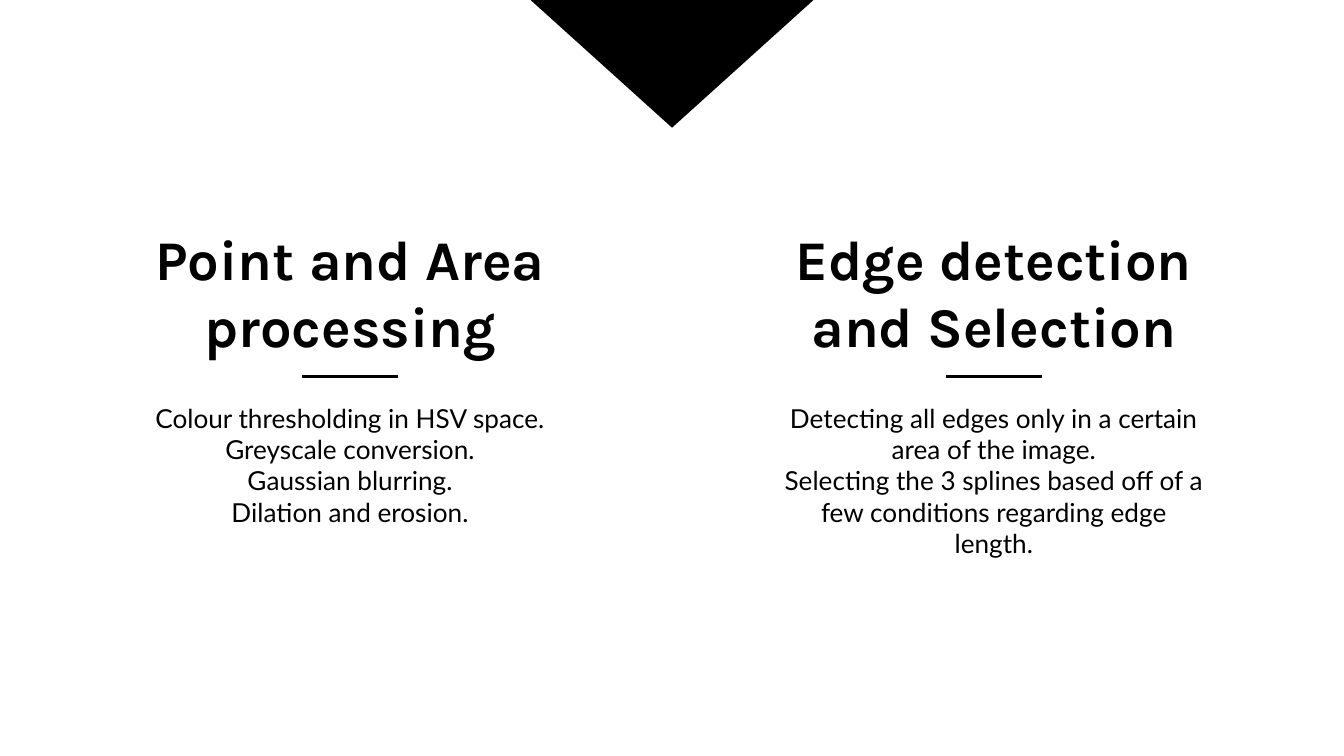
from dataclasses import dataclass

from lxml import etree
from pptx import Presentation
from pptx.dml.color import RGBColor
from pptx.enum import shapes, text
from pptx.oxml import ns
from pptx.util import Inches, Pt

BLACK = "000000"
WHITE = "FFFFFF"
WIDE = 10
HIGH = WIDE * 9 / 16
MID = WIDE / 2
GAP = 4.79  # between the column centres


@dataclass
class Topic:
    mid: float  # centre of the column
    head: str
    lines: list[str]


TOPICS = [
    Topic(MID - GAP / 2, "Point and Area processing", [
        "Colour thresholding in HSV space.",
        "Greyscale conversion.",
        "Gaussian blurring.",
        "Dilation and erosion.",
    ]),
    Topic(MID + GAP / 2, "Edge detection and Selection", [
        "Detecting all edges only in a certain area of the image.",
        "Selecting the 3 splines based off of a few conditions "
        "regarding edge length.",
    ]),
]


def paint(color, code: str) -> None:
    color.rgb = RGBColor.from_string(code)


def place(shape, mid: float, top: float, width: float, height: float) -> None:
    shape.left, shape.top = Inches(mid - width / 2), Inches(top)
    shape.width, shape.height = Inches(width), Inches(height)


def write(shape, lines: list[str], face: str, size: int,
          bold: bool, anchor) -> None:
    frame = shape.text_frame
    frame.word_wrap = True
    frame.auto_size = text.MSO_AUTO_SIZE.NONE
    frame.vertical_anchor = anchor
    frame.margin_left = frame.margin_right = Inches(0.1)
    frame.margin_top = frame.margin_bottom = Inches(0.1)
    for i, line in enumerate(lines):
        para = frame.add_paragraph() if i else frame.paragraphs[0]
        para.alignment = text.PP_ALIGN.CENTER
        para.line_spacing = 1.0
        run = para.add_run()
        run.text = line
        run.font.name, run.font.size, run.font.bold = face, Pt(size), bold
        paint(run.font.color, BLACK)


def add_rule(slide, mid: float, y: float, width: float) -> None:
    rule = slide.shapes.add_connector(
        shapes.MSO_CONNECTOR.STRAIGHT,
        Inches(mid - width / 2), Inches(y), Inches(mid + width / 2), Inches(y))
    rule.line.width = Pt(1.5)
    paint(rule.line.color, BLACK)
    etree.SubElement(rule._element.spPr, ns.qn("a:effectLst"))


def add_topic(slide, topic: Topic, head) -> None:
    place(head, topic.mid, 2, 3.74, 0.34)
    write(head, [topic.head], "Karla", 30, True, text.MSO_ANCHOR.MIDDLE)
    body = slide.shapes.add_textbox(0, 0, 0, 0)
    place(body, topic.mid, 2.89, 3.39, 1.08)
    write(body, topic.lines, "Lato", 14, False, text.MSO_ANCHOR.TOP)
    add_rule(slide, topic.mid, 2.8, 0.71)


def main() -> None:
    deck = Presentation()
    deck.slide_width, deck.slide_height = Inches(WIDE), Inches(HIGH)
    slide = deck.slides.add_slide(deck.slide_layouts[5])
    fill = slide.background.fill
    fill.solid()
    paint(fill.fore_color, WHITE)

    # Arrow pointing down from the top edge
    wedge = slide.shapes.add_shape(
        shapes.MSO_SHAPE.ISOSCELES_TRIANGLE, 0, 0, 0, 0)
    place(wedge, MID, -0.02, 2.15, 0.97)
    wedge.rotation = 180
    wedge.shadow.inherit = False
    wedge.fill.solid()
    paint(wedge.fill.fore_color, BLACK)
    wedge.line.fill.background()

    # Two columns; the first heading is the slide title
    for i, topic in enumerate(TOPICS):
        head = slide.shapes.add_textbox(0, 0, 0, 0) if i else slide.shapes.title
        add_topic(slide, topic, head)

    deck.save("out.pptx")


if __name__ == "__main__":
    main()
